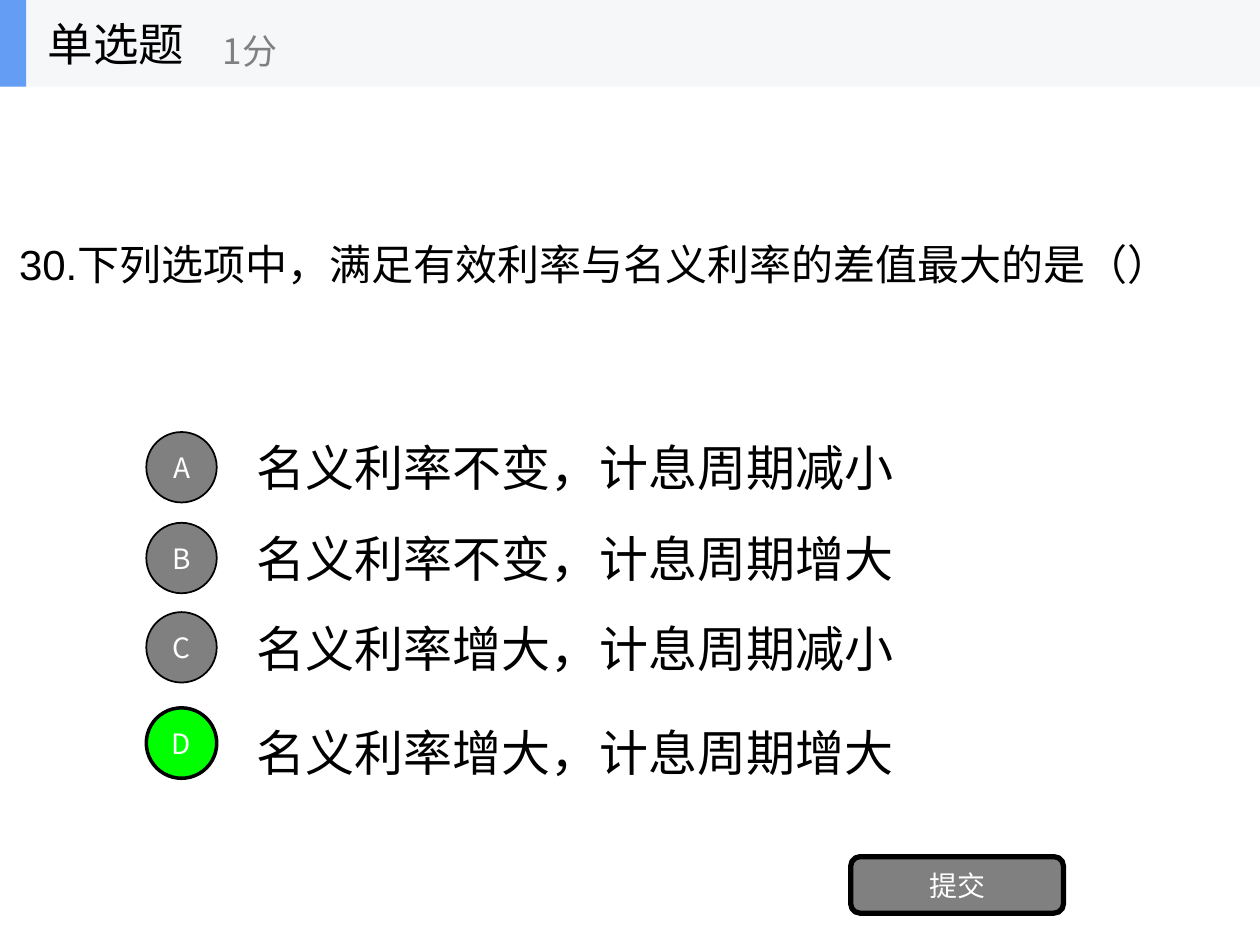
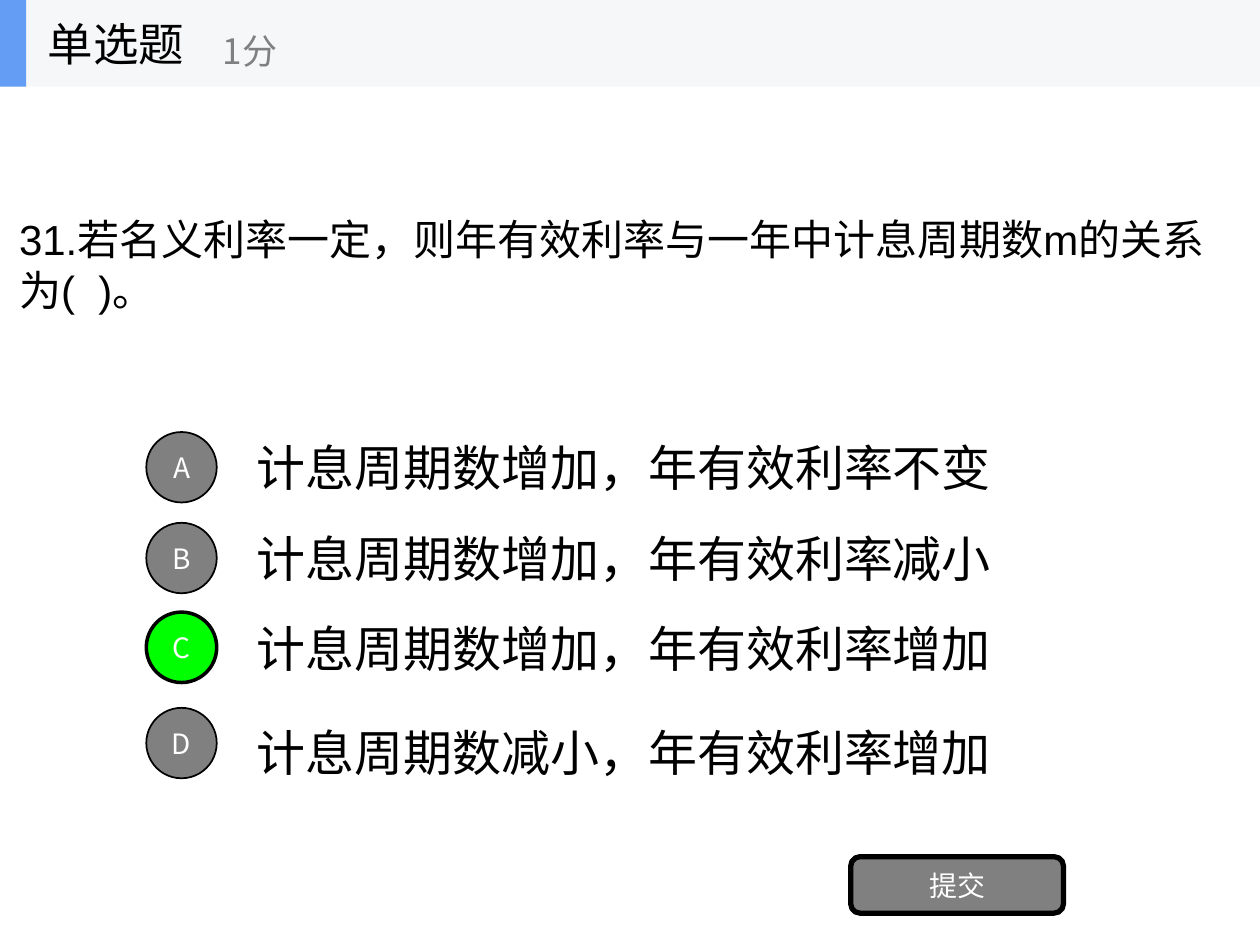
from dataclasses import dataclass
from typing import Any, NamedTuple, Optional

from lxml.etree import SubElement
from pptx import Presentation
from pptx.dml.color import RGBColor
from pptx.enum.shapes import MSO_SHAPE as Preset
from pptx.enum.text import MSO_ANCHOR as Anchor
from pptx.enum.text import MSO_AUTO_SIZE as AutoSize
from pptx.enum.text import PP_ALIGN as Align
from pptx.oxml.ns import qn
from pptx.util import Cm, Pt


# Theme: colours, fonts and type sizes
@dataclass(frozen=True)
class Theme:
    black: str = "000000"
    white: str = "FFFFFF"
    grey: str = "808080"
    correct: str = "00FF00"
    band: str = "F6F7F8"
    accent: str = "639EF4"
    text_font: str = "Arial"
    label_font: str = "Noto Sans CJK SC"
    question_size: int = 24
    option_size: int = 28
    label_size: int = 16
    heading_size: int = 26
    score_size: int = 20


THEME = Theme()


class Box(NamedTuple):
    left: float
    top: float
    width: float
    height: float

    def lengths(self) -> list[int]:
        return [Cm(value) for value in self]


class TextStyle(NamedTuple):
    size: int
    color: str
    font: str = THEME.label_font
    align: Align = Align.LEFT
    wrap: bool = True


class ShapeStyle(NamedTuple):
    preset: Preset
    fill: str
    line_width: Optional[float] = None


class OptionRow(NamedTuple):
    letter: str
    badge_top: float
    text_top: float


@dataclass(frozen=True)
class Question:
    text: str
    options: tuple[str, ...]
    answer: str


# Text styles
QUESTION = TextStyle(THEME.question_size, THEME.black, THEME.text_font)
OPTION = TextStyle(THEME.option_size, THEME.black, THEME.text_font)
LABEL = TextStyle(THEME.label_size, THEME.white, align=Align.CENTER)
HEADING = TextStyle(THEME.heading_size, THEME.black, wrap=False)
SCORE = TextStyle(THEME.score_size, THEME.grey, wrap=False)

# Shape styles
BADGE = ShapeStyle(Preset.OVAL, THEME.grey, 1)
CORRECT_BADGE = ShapeStyle(Preset.OVAL, THEME.correct, 2)
BUTTON = ShapeStyle(Preset.ROUNDED_RECTANGLE, THEME.grey, 3)

# Layout in centimetres
SLIDE_WIDTH, SLIDE_HEIGHT = 25.4, 19.05
HEADER_HEIGHT = 1.75
BADGE_LEFT, BADGE_SIZE = 2.95, 1.42
OPTION_LEFT, OPTION_WIDTH, OPTION_HEIGHT = 4.93, 17.78, 1.78
QUESTION_BOX = Box(0.13, 3.1, 25.04, 4.45)
BUTTON_BOX = Box(17.15, 17.27, 4.29, 1.14)
ROWS = (
    OptionRow("A", 8.71, 8.53),
    OptionRow("B", 10.54, 10.36),
    OptionRow("C", 12.34, 12.17),
    OptionRow("D", 14.27, 14.27),
)

QUESTIONS = (
    Question(
        "30.下列选项中，满足有效利率与名义利率的差值最大的是（）",
        (
            "名义利率不变，计息周期减小",
            "名义利率不变，计息周期增大",
            "名义利率增大，计息周期减小",
            "名义利率增大，计息周期增大",
        ),
        "D",
    ),
    Question(
        "31.若名义利率一定，则年有效利率与一年中计息周期数m的关系为(  )。",
        (
            "计息周期数增加，年有效利率不变",
            "计息周期数增加，年有效利率减小",
            "计息周期数增加，年有效利率增加",
            "计息周期数减小，年有效利率增加",
        ),
        "C",
    ),
)


def set_attributes(target: Any, values: dict[str, Any]) -> None:
    for name, value in values.items():
        setattr(target, name, value)


def write_text(shape: Any, text: str, style: TextStyle) -> None:
    frame = shape.text_frame
    set_attributes(frame, {
        "word_wrap": style.wrap,
        "auto_size": AutoSize.NONE,
        "vertical_anchor": Anchor.MIDDLE,
    })
    paragraph = frame.paragraphs[0]
    paragraph.alignment = style.align
    run = paragraph.add_run()
    run.text = text
    set_attributes(run.font, {"size": Pt(style.size), "name": style.font})
    run.font.color.rgb = RGBColor.from_string(style.color)
    # Typeface for the Chinese characters
    properties = run._r.get_or_add_rPr()
    SubElement(properties, qn("a:ea")).set("typeface", THEME.label_font)


def add_text(shapes: Any, box: Box, text: str, style: TextStyle) -> None:
    write_text(shapes.add_textbox(*box.lengths()), text, style)


def add_block(shapes: Any, box: Box, style: ShapeStyle, label: str = "") -> None:
    shape = shapes.add_shape(style.preset, *box.lengths())
    shape.shadow.inherit = False
    shape.fill.solid()
    shape.fill.fore_color.rgb = RGBColor.from_string(style.fill)
    if style.line_width is None:
        shape.line.fill.background()
    else:
        shape.line.color.rgb = RGBColor.from_string(THEME.black)
        shape.line.width = Pt(style.line_width)
    if label:
        write_text(shape, label, LABEL)


def add_header(slide: Any) -> None:
    shapes = slide.shapes.add_group_shape().shapes
    for width, color in ((SLIDE_WIDTH, THEME.band), (0.53, THEME.accent)):
        add_block(shapes, Box(0, 0, width, HEADER_HEIGHT),
                  ShapeStyle(Preset.RECTANGLE, color))
    add_text(shapes, Box(0.71, 0, 5.28, HEADER_HEIGHT), "单选题", HEADING)
    add_text(shapes, Box(4.24, 0.3, 6.35, 1.42), "1分", SCORE)


def add_question_slide(presentation: Any, question: Question) -> None:
    title_only = presentation.slide_layouts[5]
    slide = presentation.slides.add_slide(title_only)

    # Question in the title placeholder
    title = slide.shapes.title
    names = ("left", "top", "width", "height")
    set_attributes(title, dict(zip(names, QUESTION_BOX.lengths())))
    write_text(title, question.text, QUESTION)

    # Answer options with lettered badges
    for row, option in zip(ROWS, question.options):
        add_text(slide.shapes,
                 Box(OPTION_LEFT, row.text_top, OPTION_WIDTH, OPTION_HEIGHT),
                 option, OPTION)
        add_block(slide.shapes,
                  Box(BADGE_LEFT, row.badge_top, BADGE_SIZE, BADGE_SIZE),
                  CORRECT_BADGE if row.letter == question.answer else BADGE,
                  row.letter)

    # Submit button and header band
    add_block(slide.shapes, BUTTON_BOX, BUTTON, "提交")
    add_header(slide)


def main() -> None:
    presentation = Presentation()
    set_attributes(presentation, {
        "slide_width": Cm(SLIDE_WIDTH),
        "slide_height": Cm(SLIDE_HEIGHT),
    })
    for question in QUESTIONS:
        add_question_slide(presentation, question)
    presentation.save("out.pptx")


if __name__ == "__main__":
    main()
